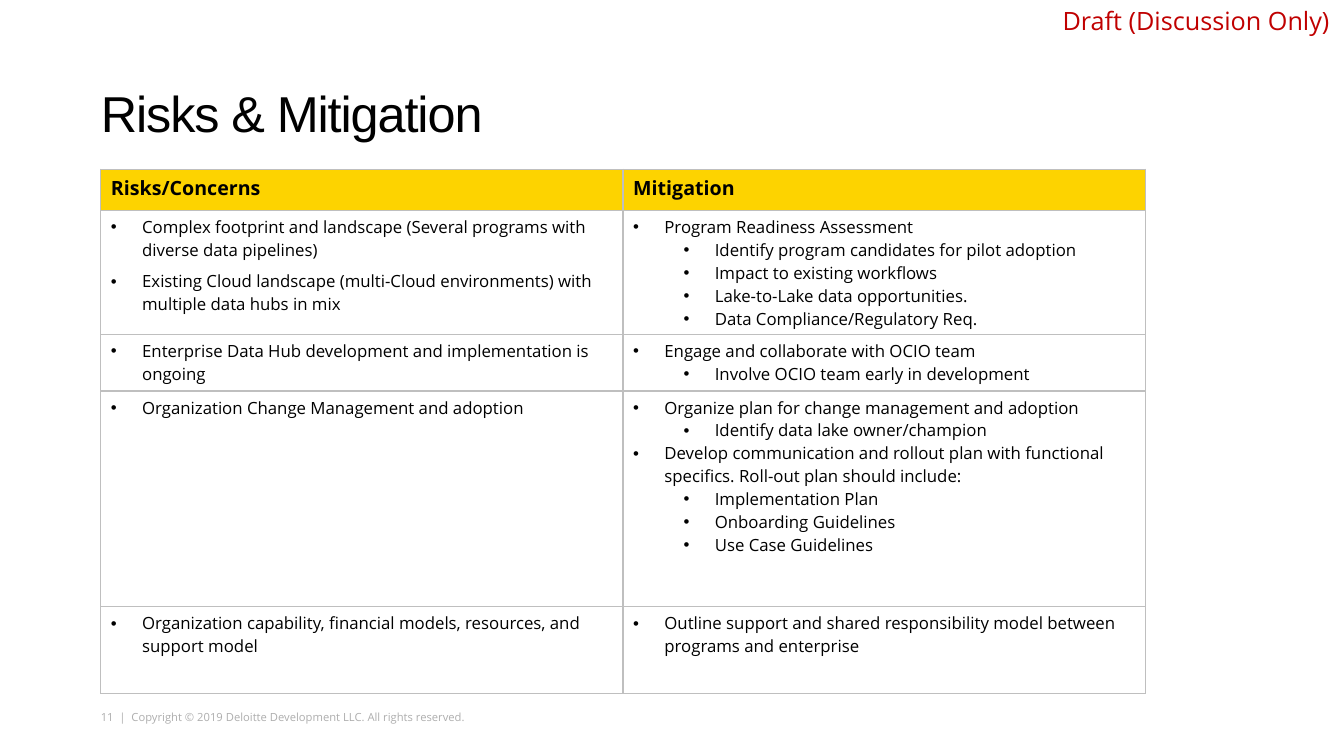
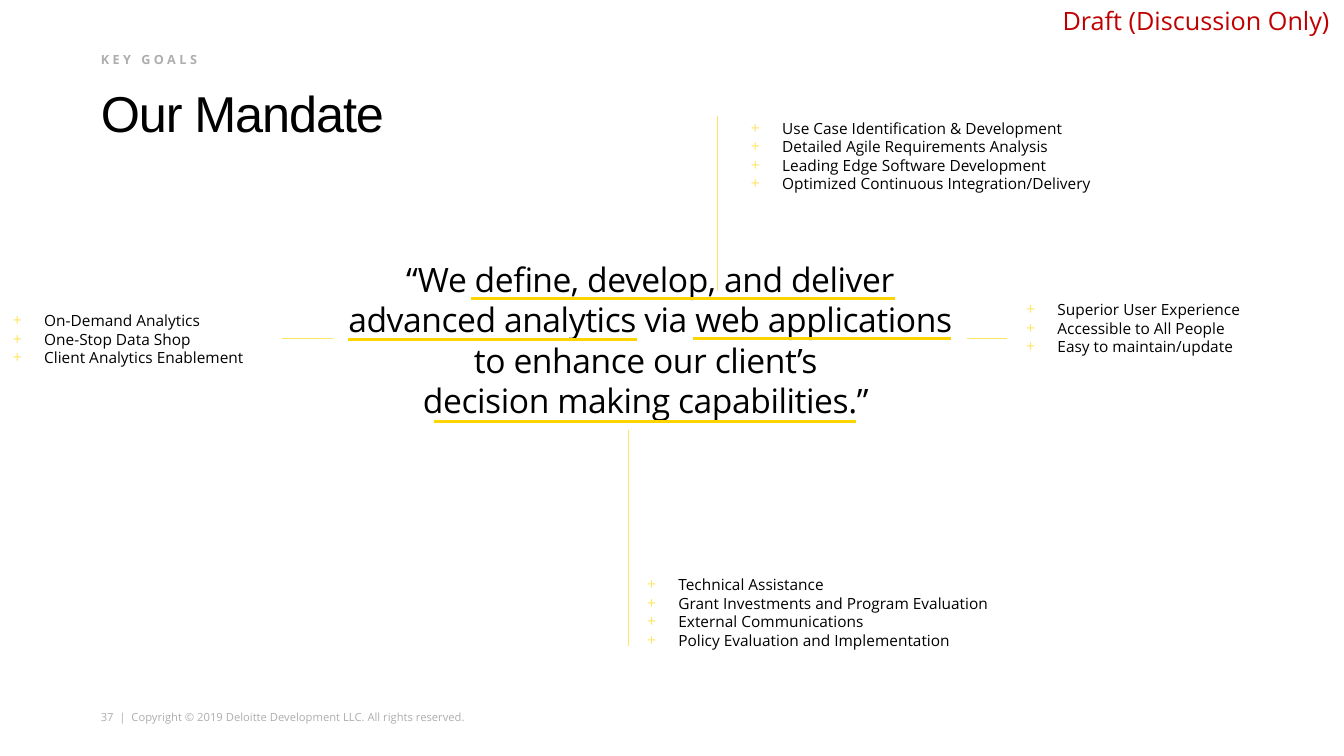
from lxml import etree
from pptx import Presentation
from pptx.dml.color import RGBColor
from pptx.enum import shapes, text
from pptx.oxml import ns
from pptx.util import Inches, Pt

COLORS = {
    "ink": "000000", "paper": "FFFFFF", "gold": "FDD300", "pale_gold": "FFE565",
    "grey": "AEAEAE", "rule": "BFBFBF", "draft": "C00000",
}
BODY_FONT = "Open Sans"
TITLE_FONT = "Arial"
LEFT = 1
INDENT = 0.31
COPYRIGHT = "Copyright © 2019 Deloitte Development LLC. All rights reserved."

RISKS = [
    (1.23,
     ["Complex footprint and landscape (Several programs with diverse data pipelines)",
      "Existing Cloud landscape (multi-Cloud environments) with multiple data hubs in mix"],
     [("Program Readiness Assessment",
       ["Identify program candidates for pilot adoption",
        "Impact to existing workflows",
        "Lake-to-Lake data opportunities.",
        "Data Compliance/Regulatory Req."])]),
    (0.56,
     ["Enterprise Data Hub development and implementation is ongoing"],
     [("Engage and collaborate with OCIO team",
       ["Involve OCIO team early in development"])]),
    (2.14,
     ["Organization Change Management and adoption"],
     [("Organize plan for change management and adoption",
       ["Identify data lake owner/champion"]),
      ("Develop communication and rollout plan with functional specifics. "
       "Roll-out plan should include:",
       ["Implementation Plan", "Onboarding Guidelines", "Use Case Guidelines"])]),
    (0.86,
     ["Organization capability, financial models, resources, and support model"],
     [("Outline support and shared responsibility model between programs and enterprise", [])]),
]

QUOTE = [
    "“We define, develop, and deliver advanced analytics via web applications "
    "to enhance our client’s ",
    "decision making capabilities.” ",
]
UNDERLINES = [(1.37, 5.58, 0.44), (0.15, 3.02, 0.85), (3.57, 6.13, 0.84), (1, 5.19, 1.66)]
GOALS = [
    ((7.35, 1.13, 3.86, 0.84),
     ["Use Case Identification & Development", "Detailed Agile Requirements Analysis",
      "Leading Edge Software Development", "Optimized Continuous Integration/Delivery"]),
    ((6.32, 5.66, 3.86, 0.84),
     ["Technical Assistance", "Grant Investments and Program Evaluation",
      "External Communications", "Policy Evaluation and Implementation"]),
    ((10.08, 2.93, 3.24, 0.67),
     ["Superior User Experience", "Accessible to All People", "Easy to maintain/update"]),
    ((0.03, 3.04, 2.98, 0.66),
     ["On-Demand Analytics", "One-Stop Data Shop", "Client Analytics Enablement"]),
]


def rgb(name):
    return RGBColor.from_string(COLORS[name])


def style_runs(paragraph, size, color="ink", font=BODY_FONT, bold=False, tracking=0):
    for run in paragraph.runs:
        run.font.size = Pt(size)
        run.font.name = font
        run.font.bold = bold
        run.font.color.rgb = rgb(color)
        if tracking:
            run._r.get_or_add_rPr().set("spc", str(round(tracking * 100)))


def add_bullet(paragraph, mark, left=INDENT, color=None):
    properties = paragraph._p.get_or_add_pPr()
    properties.set("marL", str(Inches(left)))
    properties.set("indent", str(-Inches(INDENT)))
    if color:
        bullet_color = etree.SubElement(properties, ns.qn("a:buClr"))
        etree.SubElement(bullet_color, ns.qn("a:srgbClr")).set("val", COLORS[color])
    etree.SubElement(properties, ns.qn("a:buFont")).set("typeface", TITLE_FONT)
    etree.SubElement(properties, ns.qn("a:buChar")).set("char", mark)


def add_text(slide, box, lines, size, margins=None, wrap=True, spacing=1.0,
             align=None, anchor=text.MSO_ANCHOR.TOP, bullet=None, **style):
    holder = slide.shapes.add_textbox(*map(Inches, box))
    frame = holder.text_frame
    frame.word_wrap = wrap
    frame.vertical_anchor = anchor
    if margins:
        (frame.margin_left, frame.margin_top,
         frame.margin_right, frame.margin_bottom) = map(Inches, margins)
    frame.text = "\n".join(lines)
    for paragraph in frame.paragraphs:
        if bullet:
            add_bullet(paragraph, bullet, color="pale_gold")
        paragraph.line_spacing = spacing
        paragraph.alignment = align
        style_runs(paragraph, size, **style)
    return holder


def add_rule(slide, start, end, color, width):
    rule = slide.shapes.add_connector(
        shapes.MSO_CONNECTOR.STRAIGHT, *map(Inches, (*start, *end)))
    rule.line.color.rgb = rgb(color)
    rule.line.width = Pt(width)
    etree.SubElement(rule._element.spPr, ns.qn("a:effectLst"))
    return rule


def add_base_slide(deck, title, number):
    slide = deck.slides.add_slide(deck.slide_layouts[6])
    slide.background.fill.solid()
    slide.background.fill.fore_color.rgb = rgb("paper")
    add_text(slide, (LEFT, 7.05, 3.66, 0.13), [f"{number}  |  {COPYRIGHT}"], 8,
             margins=(0, 0, 0, 0), wrap=False, color="grey")
    add_text(slide, (10.44, 0, 2.9, 0.4), ["Draft (Discussion Only)"], 18, color="draft")
    add_text(slide, (LEFT, 0.76, 11.33, 0.65), [title], 36, margins=(0, 0.05, 0, 0),
             spacing=0.8, anchor=text.MSO_ANCHOR.BOTTOM, font=TITLE_FONT, tracking=-0.8)
    return slide


def style_cell(cell, fill):
    cell.fill.solid()
    cell.fill.fore_color.rgb = rgb(fill)
    properties = cell._tc.get_or_add_tcPr()
    for position, side in enumerate(("lnL", "lnR", "lnT", "lnB")):
        border = etree.Element(ns.qn(f"a:{side}"), w=str(Pt(1)))
        solid = etree.SubElement(border, ns.qn("a:solidFill"))
        etree.SubElement(solid, ns.qn("a:srgbClr")).set("val", COLORS["rule"])
        properties.insert(position, border)


def fill_list_cell(cell, entries, space_after=0):
    style_cell(cell, "paper")
    cell.text_frame.text = "\n".join(line for line, _ in entries)
    for paragraph, (_, level) in zip(cell.text_frame.paragraphs, entries):
        paragraph.level = level
        add_bullet(paragraph, "•", INDENT + 0.5 * level)
        paragraph.space_after = Pt(space_after)
        style_runs(paragraph, 12)


def add_risk_table(slide, box):
    table = slide.shapes.add_table(len(RISKS) + 1, 2, *map(Inches, box)).table
    table.first_row = False
    table.horz_banding = False
    for column in table.columns:
        column.width = Inches(box[2] / 2)
    table.rows[0].height = Inches(0.41)
    for cell, heading in zip(table.rows[0].cells, ("Risks/Concerns", "Mitigation")):
        style_cell(cell, "gold")
        cell.text_frame.text = heading
        style_runs(cell.text_frame.paragraphs[0], 14, bold=True)
    for index, (height, risks, mitigations) in enumerate(RISKS, 1):
        table.rows[index].height = Inches(height)
        fill_list_cell(table.cell(index, 0), [(risk, 0) for risk in risks], space_after=6)
        steps = []
        for action, details in mitigations:
            steps.append((action, 0))
            steps.extend((detail, 1) for detail in details)
        fill_list_cell(table.cell(index, 1), steps)


def add_quote(slide, box):
    left, top, width, height = box
    right, middle = left + width, top + height / 2
    quote = add_text(slide, box, QUOTE, 24, align=text.PP_ALIGN.CENTER, tracking=-0.3)
    for start, end, drop in UNDERLINES:
        add_rule(slide, (left + start, top + drop), (left + end, top + drop), "gold", 2.25)
    to_left = add_rule(slide, (left, middle), (left - 0.5, middle), "pale_gold", 0.75)
    to_left.begin_connect(quote, 1)
    to_right = add_rule(slide, (right, middle), (right + 0.4, middle), "pale_gold", 0.75)
    to_right.begin_connect(quote, 3)
    for across, start, end in ((3.82, 0.37, -1.37), (2.93, 1.75, 3.89)):
        add_rule(slide, (left + across, top + start), (left + across, top + end),
                 "pale_gold", 0.75)


def build_risks(deck):
    slide = add_base_slide(deck, "Risks & Mitigation", 11)
    add_risk_table(slide, (LEFT, 1.68, 10.36, 5.2))


def build_mandate(deck):
    slide = add_base_slide(deck, "Our Mandate", 37)
    add_text(slide, (LEFT, 0.51, 3.67, 0.22), ["KEY GOALS"], 9, margins=(0, 0, 0, 0),
             color="grey", bold=True, tracking=2.5)
    add_quote(slide, (3.3, 2.52, 6.29, 1.68))
    for box, goals in GOALS:
        add_text(slide, box, goals, 11, bullet="+")


def main():
    deck = Presentation()
    deck.slide_width = Inches(13.33)
    deck.slide_height = Inches(7.5)
    build_risks(deck)
    build_mandate(deck)
    deck.save("out.pptx")


if __name__ == "__main__":
    main()
